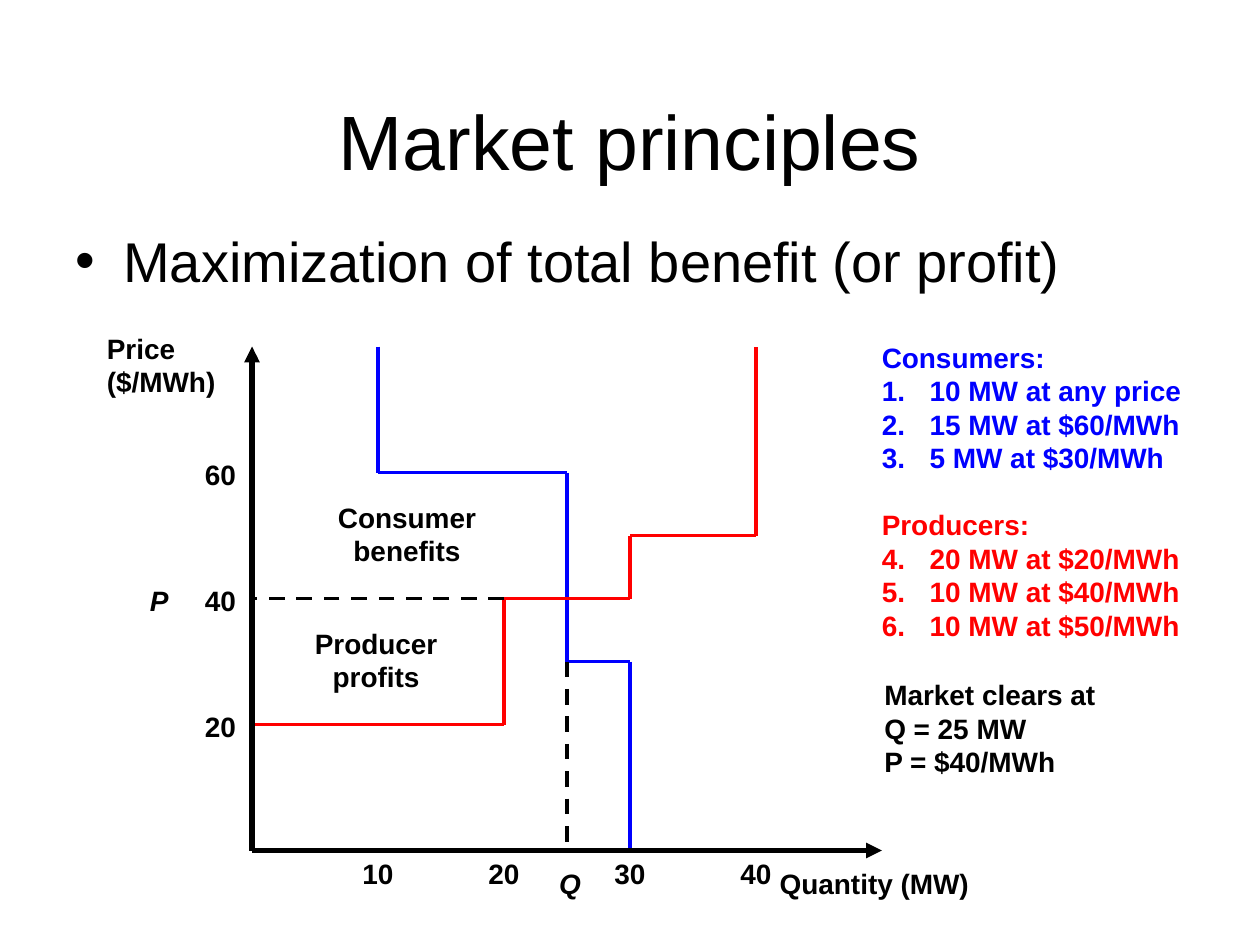
from pptx import Presentation
from pptx import util as u
from pptx.dml.color import RGBColor
from pptx.enum import dml, shapes, text
from pptx.oxml.ns import qn
from lxml import etree

BLACK = RGBColor(0, 0, 0)
BLUE = RGBColor(0, 0, 255)
RED = RGBColor(255, 0, 0)
LEFT, MID = text.PP_ALIGN.LEFT, text.PP_ALIGN.CENTER
GROW, FIXED = text.MSO_AUTO_SIZE.SHAPE_TO_FIT_TEXT, text.MSO_AUTO_SIZE.NONE

# Steps of each curve as (quantity, price)
DEMAND = [(10, 80), (10, 60), (25, 60), (25, 30), (30, 30), (30, 0)]
SUPPLY = [(0, 20), (20, 20), (20, 40), (30, 40), (30, 50), (40, 50), (40, 80)]
BUYERS = ["10 MW at any price", "15 MW at $60/MWh", "5 MW at $30/MWh"]
SELLERS = ["20 MW at $20/MWh", "10 MW at $40/MWh", "10 MW at $50/MWh"]


def style(para, size=16, color=BLACK, bold=True, italic=False):
    for run in para.runs:
        font = run.font
        font.name, font.size = "Arial", u.Pt(size)
        font.bold, font.italic = bold, italic
        font.color.rgb = color


def label(slide, box, words, align=LEFT, wrap=False, fit=GROW, **look):
    shape = slide.shapes.add_textbox(*map(u.Inches, box))
    frame = shape.text_frame
    frame.word_wrap = wrap
    frame.auto_size = fit
    frame.text = words
    for para in frame.paragraphs:
        para.alignment = align
        style(para, **look)
    return frame


def indent(para, tag=None, **attrs):
    """Hang the paragraph, with a bullet element if a tag is given."""
    props = para._p.get_or_add_pPr()
    props.set("marL", str(u.Inches(0.38)))
    props.set("indent", str(-u.Inches(0.38)))
    if tag:
        etree.SubElement(props, qn("a:buFont"), typeface="Arial")
        etree.SubElement(props, qn(tag), **attrs)


def line(slide, start, end, color, width, dash=False, arrow=False):
    ends = [u.Inches(v) for v in (*start, *end)]
    link = slide.shapes.add_connector(shapes.MSO_CONNECTOR.STRAIGHT, *ends)
    link.line.color.rgb = color
    link.line.width = u.Pt(width)
    if dash:
        link.line.dash_style = dml.MSO_LINE.DASH
    if arrow:
        etree.SubElement(link.line._get_or_add_ln(), qn("a:tailEnd"), type="triangle")
    etree.SubElement(link._element.spPr, qn("a:effectLst"))


def header(slide, box):
    x, y, w, h = box
    title = label(slide, (x, y, w, 0.88), "Market principles", MID, True, FIXED,
                  size=44, bold=False)
    title.vertical_anchor = text.MSO_ANCHOR.MIDDLE
    body = label(slide, (x, y + 1.08, w, h - 1.08),
                 "Maximization of total benefit (or profit)", LEFT, True, FIXED,
                 size=32, bold=False)
    indent(body.paragraphs[0], "a:buChar", char="•")


def graph(slide, box):
    x, y, w, h = box
    base = y + h

    def spot(point):
        return x + point[0] * 0.1, base - point[1] * 0.05

    # Demand and supply curves
    for steps, color in ((DEMAND, BLUE), (SUPPLY, RED)):
        for a, b in zip(steps, steps[1:]):
            line(slide, spot(a), spot(b), color, 2.25)

    # Axes with names and ticks
    for end in ((x, y), (x + w, base)):
        line(slide, (x, base), end, BLACK, 3, arrow=True)
    label(slide, (x - 1.25, y - 0.17, 1.06, 0.64), "Price\n($/MWh)")
    label(slide, (x + 4.09, base + 0.08, 1.7, 0.37), "Quantity (MW)")
    for amount in (10, 20, 30, 40):
        left = spot((amount, 0))[0] - 0.25
        label(slide, (left, base, 0.5, 0.37), str(amount), MID, True)
    for price in (20, 40, 60):
        top = spot((0, price))[1] - 0.17
        label(slide, (x - 0.5, top, 0.5, 0.37), str(price), MID, True)

    # Surplus areas
    label(slide, (x + 0.57, y + 1.17, 1.32, 0.64), "Consumer\nbenefits", MID)
    label(slide, (x + 0.39, y + 2.17, 1.19, 0.64), "Producer\nprofits", MID)

    # Clearing point
    for a, b in (((25, 30), (25, 0)), ((20, 40), (0, 40))):
        line(slide, spot(a), spot(b), BLACK, 2.25, dash=True)
    label(slide, (x - 0.91, y + 1.83, 0.35, 0.37), "P", italic=True)
    label(slide, (x + 2.34, base + 0.08, 0.37, 0.37), "Q", italic=True)


def offers(slide, box):
    x, y, w, h = box
    rows = ["Consumers:", *BUYERS, "Producers:", *SELLERS]
    frame = label(slide, (x, y, w, 2.5), "\n".join(rows))
    split = len(BUYERS) + 1
    for i, para in enumerate(frame.paragraphs):
        style(para, color=BLUE if i < split else RED)
        if i in (0, split):
            indent(para)
        else:
            first = "1" if i < split else str(split)
            indent(para, "a:buAutoNum", type="arabicPeriod", startAt=first)
    frame.paragraphs[split].space_before = u.Pt(19)

    # Result of the market
    label(slide, (x + 0.02, y + 2.68, 2.5, h - 2.68),
          "Market clears at\nQ = 25 MW\nP = $40/MWh", wrap=True)


def main():
    deck = Presentation()
    deck.slide_width, deck.slide_height = u.Inches(10), u.Inches(7.5)
    slide = deck.slides.add_slide(deck.slide_layouts[6])
    header(slide, (0.5, 0.67, 9, 1.91))
    graph(slide, (2, 2.75, 5, 4))
    offers(slide, (6.9, 2.65, 2.62, 3.58))
    deck.save("out.pptx")


if __name__ == "__main__":
    main()
